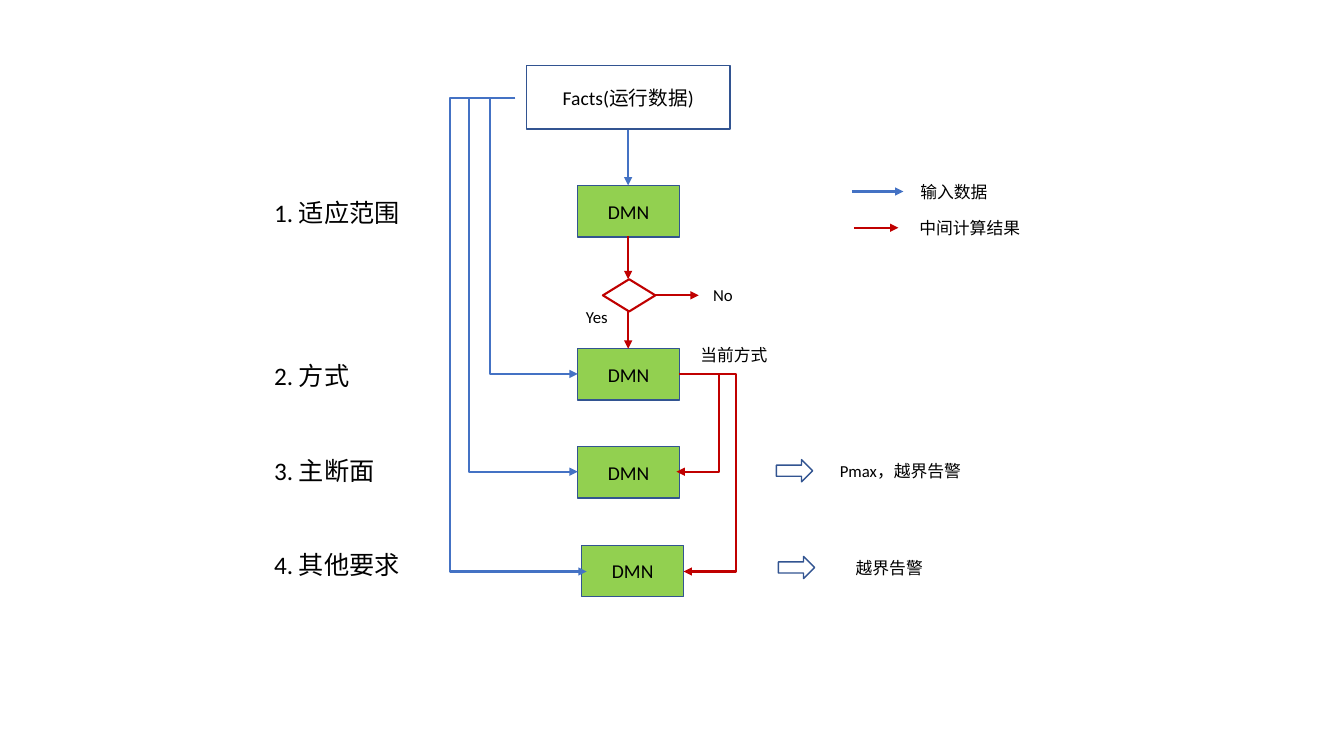
from lxml import etree
from pptx import Presentation
from pptx.dml.color import RGBColor
from pptx.enum.shapes import MSO_CONNECTOR, MSO_SHAPE
from pptx.enum.text import MSO_ANCHOR, MSO_AUTO_SIZE, PP_ALIGN
from pptx.oxml.ns import qn
from pptx.util import Inches, Pt

STRAIGHT, ELBOW = MSO_CONNECTOR.STRAIGHT, MSO_CONNECTOR.ELBOW
RECTANGLE, DIAMOND = MSO_SHAPE.RECTANGLE, MSO_SHAPE.FLOWCHART_DECISION
RIGHT_ARROW = MSO_SHAPE.RIGHT_ARROW
LEFT, CENTER = PP_ALIGN.LEFT, PP_ALIGN.CENTER
MIDDLE, GROW = MSO_ANCHOR.MIDDLE, MSO_AUTO_SIZE.SHAPE_TO_FIT_TEXT

COLORS = {name: RGBColor.from_string(value) for name, value in {
    "input": "4472C4", "result": "C00000", "outline": "325491",
    "model": "92D050", "text": "000000"}.items()}

presentation = Presentation()
presentation.slide_width, presentation.slide_height = Inches(13.33), Inches(7.5)
slide = presentation.slides.add_slide(presentation.slide_layouts[6])


def write(shape, text, size, align):
    frame = shape.text_frame
    frame.word_wrap = True
    paragraph = frame.paragraphs[0]
    paragraph.text, paragraph.alignment = text, align
    paragraph.font.name, paragraph.font.size = "Calibri", Pt(size)
    paragraph.font.color.rgb = COLORS["text"]


def connect(start, end, color, bend=None):
    """Arrow from start to end; bend is the x of its vertical stretch."""
    kind = STRAIGHT if bend is None else ELBOW
    connector = slide.shapes.add_connector(
        kind, *(Inches(value) for value in start + end))
    connector.line.color.rgb, connector.line.width = COLORS[color], Pt(1.5)
    properties = connector._element.spPr
    etree.SubElement(properties.find(qn("a:ln")), qn("a:tailEnd"), type="triangle")
    etree.SubElement(properties, qn("a:effectLst"))
    if bend is not None:
        share = round((bend - start[0]) / (end[0] - start[0]) * 100000)
        adjustments = properties.find(qn("a:prstGeom")).get_or_add_avLst()
        etree.SubElement(adjustments, qn("a:gd"), name="adj1", fmla=f"val {share}")


# Grid: the axis of the flow and the boxes along it
AXIS = 6.23
BOX_WIDTH, BOX_HEIGHT = 1.01, 0.51
BOX_LEFT, BOX_RIGHT = 5.73, 6.74
FACTS_MIDDLE = 0.97
box_tops = [1.84, 3.46, 4.43, 5.41]
box_lefts = [BOX_LEFT] * 3 + [5.77]
scope, mode, section, other = [round(top + BOX_HEIGHT / 2, 2) for top in box_tops]

# Facts, models, decision and output arrows
blocks = [(RECTANGLE, 5.22, 0.65, 2.02, 0.63, None, "outline", 1, "Facts(运行数据)")]
blocks += [(RECTANGLE, left, top, BOX_WIDTH, BOX_HEIGHT, "model", "outline", 1, "DMN")
           for left, top in zip(box_lefts, box_tops)]
blocks += [(RIGHT_ARROW, 7.7, 4.56, 0.36, 0.22, None, "outline", 1, None),
           (RIGHT_ARROW, 7.72, 5.52, 0.36, 0.22, None, "outline", 1, None),
           (DIAMOND, 5.98, 2.77, 0.52, 0.32, None, "result", 1.5, None)]
for kind, left, top, width, height, fill, line, weight, text in blocks:
    shape = slide.shapes.add_shape(
        kind, *(Inches(value) for value in (left, top, width, height)))
    shape.shadow.inherit = False
    if fill:
        shape.fill.solid()
        shape.fill.fore_color.rgb = COLORS[fill]
    else:
        shape.fill.background()
    shape.line.color.rgb, shape.line.width = COLORS[line], Pt(weight)
    if text:
        shape.text_frame.vertical_anchor = MIDDLE
        write(shape, text, 14, CENTER)

# Input data: from the facts down to every model
connect((AXIS, 1.29), (AXIS, box_tops[0]), "input")
for end, bend in [((BOX_LEFT, mode), 4.86), ((BOX_LEFT, section), 4.65),
                  ((5.82, other), 4.46)]:
    connect((5.11, FACTS_MIDDLE), end, "input", bend)

# Intermediate results: through the decision and on to the later models
connect((AXIS, 2.34), (AXIS, 2.77), "result")
connect((AXIS, 3.08), (AXIS, box_tops[1]), "result")
connect((6.49, 2.93), (6.93, 2.93), "result")
connect((BOX_RIGHT, mode), (6.78, other), "result", 7.3)
connect((BOX_RIGHT, mode), (6.71, section), "result", 7.13)

# Legend arrows
connect((8.45, 1.9), (8.96, 1.9), "input")
connect((8.47, 2.26), (8.91, 2.26), "result")

# Step names, branch labels, outputs and legend texts
labels = [
    ("1. 适应范围", 2.62, 1.91, 1.46, 18, LEFT),
    ("2. 方式", 2.62, 3.53, 0.96, 18, LEFT),
    ("3. 主断面", 2.62, 4.47, 1.21, 18, LEFT),
    ("4. 其他要求", 2.62, 5.4, 1.46, 18, LEFT),
    ("当前方式", 6.78, 3.37, 1, 12, CENTER),
    ("Yes", 5.42, 2.99, 1, 12, CENTER),
    ("No", 6.67, 2.78, 1, 12, CENTER),
    ("Pmax，越界告警", 8.22, 4.52, 1.42, 12, CENTER),
    ("越界告警", 8.11, 5.48, 1.42, 12, CENTER),
    ("输入数据", 9.03, 1.75, 1, 12, LEFT),
    ("中间计算结果", 9.02, 2.11, 1.41, 12, LEFT),
]
for text, left, top, width, size, align in labels:
    height = 0.4 if size == 18 else 0.3
    label = slide.shapes.add_textbox(
        *(Inches(value) for value in (left, top, width, height)))
    label.text_frame.auto_size = GROW
    write(label, text, size, align)

presentation.save("out.pptx")
